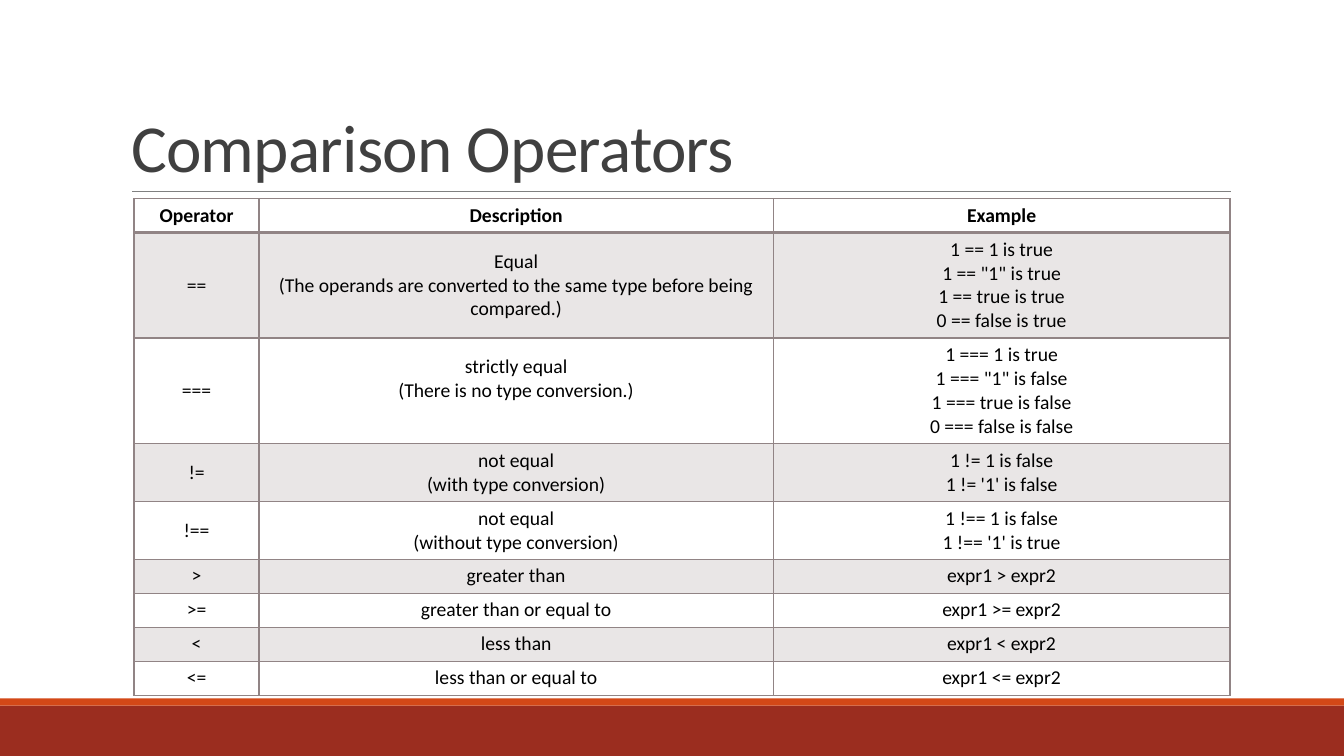
"""Build a slide with a table of comparison operators."""
from lxml.etree import SubElement
from pptx import Presentation
from pptx.dml.color import RGBColor
from pptx.enum.shapes import MSO_CONNECTOR, MSO_SHAPE
from pptx.enum.text import MSO_ANCHOR, MSO_AUTO_SIZE, PP_ALIGN
from pptx.oxml.ns import qn
from pptx.util import Inches, Pt

RED = RGBColor(0x9B, 0x2D, 0x1F)
ORANGE = RGBColor(0xD3, 0x48, 0x17)
GRAY = RGBColor(0x80, 0x80, 0x80)
DARK = RGBColor(0x40, 0x40, 0x40)
BLACK = RGBColor(0, 0, 0)
TAUPE = RGBColor(0x91, 0x84, 0x85)

COLS = [1.24, 5.1, 4.53]
ONE, TWO, FOUR = 0.28, 0.48, 0.87
ROWS = [
    (ONE, "Operator", "Description", "Example"),
    (FOUR, "==",
     "Equal\n(The operands are converted to the same type before being compared.)",
     '1 == 1 is true\v1 == "1" is true\v1 == true is true\v0 == false is true'),
    (FOUR, "===", "strictly equal\n(There is no type conversion.)",
     '1 === 1 is true\v1 === "1" is false\v1 === true is false\v0 === false is false'),
    (TWO, "!=", "not equal\n(with type conversion)",
     "1 != 1 is false\n1 != '1' is false"),
    (TWO, "!==", "not equal\n(without type conversion)",
     "1 !== 1 is false\n1 !== '1' is true"),
    (ONE, ">", "greater than", "expr1 > expr2"),
    (ONE, ">=", "greater than or equal to", "expr1 >= expr2"),
    (ONE, "<", "less than", "expr1 < expr2"),
    (ONE, "<=", "less than or equal to", "expr1 <= expr2"),
]


def add_border(cell, side, width):
    ln = SubElement(cell._tc.get_or_add_tcPr(), qn(f"a:ln{side}"), w=str(Pt(width)))
    fill = SubElement(ln, qn("a:solidFill"))
    SubElement(fill, qn("a:srgbClr"), val=str(TAUPE))


prs = Presentation()
prs.slide_width, prs.slide_height = Inches(13.33), Inches(7.5)
s = prs.slides.add_slide(prs.slide_layouts[5])

for top, height, color in [(7, 0.5, RED), (6.93, 0.07, ORANGE)]:
    sp = s.shapes.add_shape(MSO_SHAPE.RECTANGLE, 0, Inches(top), prs.slide_width, Inches(height))
    sp.shadow.inherit = False
    sp.fill.solid()
    sp.fill.fore_color.rgb = color
    sp.line.fill.background()

rule = s.shapes.add_connector(
    MSO_CONNECTOR.STRAIGHT, Inches(1.31), Inches(1.9), Inches(12.21), Inches(1.9))
rule.line.color.rgb = GRAY
rule.line.width = Pt(0.5)
SubElement(rule._element.spPr, qn("a:effectLst"))

title = s.shapes.title
title.left, title.top, title.width, title.height = map(Inches, (1.2, 0.31, 11, 1.59))
tf = title.text_frame
tf.text = "Comparison Operators"
tf.auto_size = MSO_AUTO_SIZE.NONE
tf.vertical_anchor = MSO_ANCHOR.BOTTOM
p = tf.paragraphs[0]
p.alignment = PP_ALIGN.LEFT
p.line_spacing = 0.85
p.font.name, p.font.size = "Calibri", Pt(48)
p.font.color.rgb = DARK
p.runs[0].font._element.set("spc", "-50")

table = s.shapes.add_table(
    len(ROWS), len(COLS), Inches(1.33), Inches(1.97),
    Inches(sum(COLS)), Inches(sum(row[0] for row in ROWS))).table
table.first_row = table.horz_banding = False
for col, width in zip(table.columns, COLS):
    col.width = Inches(width)

for i, (height, *texts) in enumerate(ROWS):
    table.rows[i].height = Inches(height)
    for cell, text in zip(table.rows[i].cells, texts):
        cell.text = text
        cell.vertical_anchor = MSO_ANCHOR.MIDDLE
        for side in "LRTB":
            add_border(cell, side, 2 if (i, side) in [(0, "B"), (1, "T")] else 1)
        if i % 2:
            cell.fill.solid()
            cell.fill.fore_color.rgb = TAUPE
            color = cell._tc.tcPr.find(qn("a:solidFill")).find(qn("a:srgbClr"))
            SubElement(color, qn("a:alpha"), val="20000")
        else:
            cell.fill.background()
        for p in cell.text_frame.paragraphs:
            p.alignment = PP_ALIGN.CENTER
            p.font.name, p.font.size = "Calibri", Pt(14)
            p.font.bold = i == 0
            p.font.color.rgb = BLACK

table.cell(2, 1).margin_bottom = Inches(0.29)

prs.save("out.pptx")
